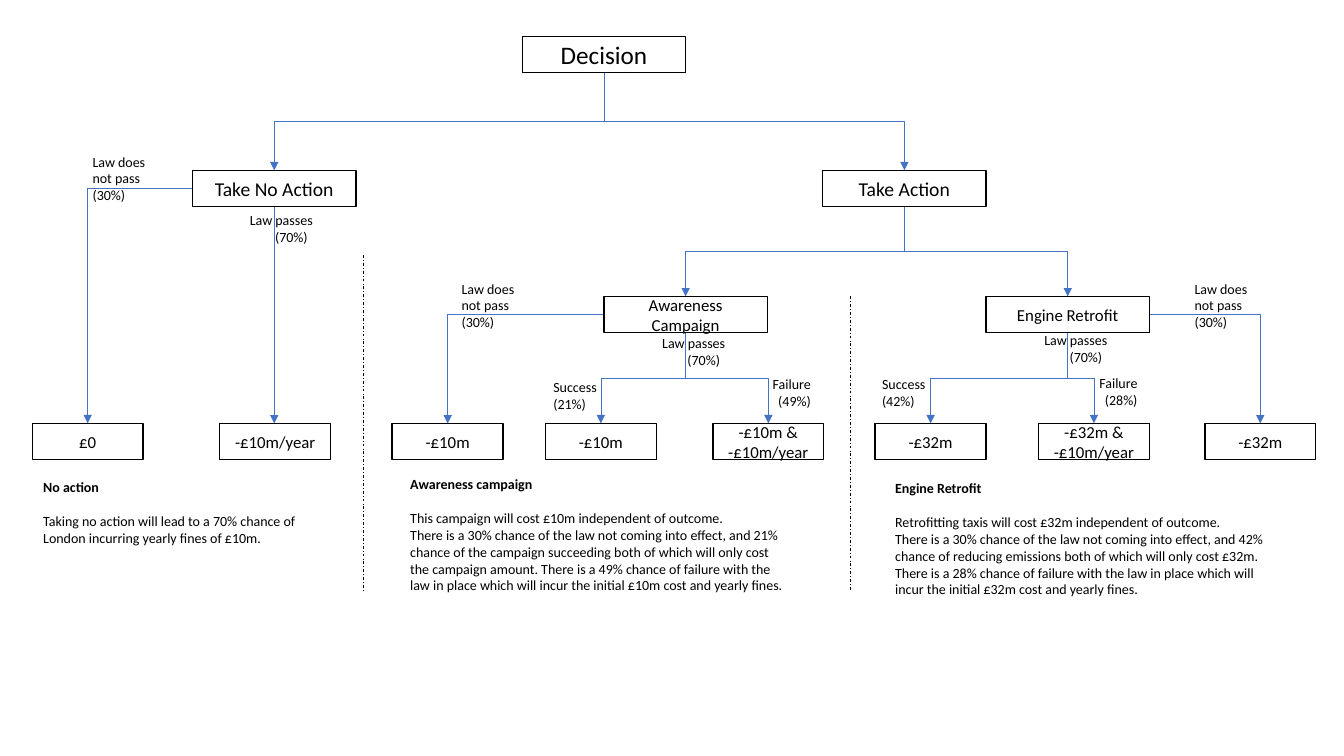
from pptx import Presentation
from pptx import util as u
from pptx.dml.color import RGBColor
from pptx.enum import dml, shapes, text
from pptx.oxml.ns import qn
from lxml import etree

COLORS = {"ink": "000000", "paper": "FFFFFF", "arrow": "4472C4"}
FONT = "Calibri"
BOX_HEIGHT = 0.36
CHOICE_WIDTH, OUTCOME_WIDTH = 1.62, 1.1
OUTCOME_TOP = 4.2

# Choices: key -> (label, centre x, top, text size)
CHOICES = {
    "decision": ("Decision", 5.99, 0.36, 18),
    "no action": ("Take No Action", 2.72, 1.69, 14),
    "action": ("Take Action", 8.97, 1.69, 14),
    "campaign": ("Awareness Campaign", 6.8, 2.94, 12),
    "retrofit": ("Engine Retrofit", 10.59, 2.94, 12),
}
# Outcomes along the bottom row: (lines, centre x)
OUTCOMES = [
    (["£0"], 0.87), (["-£10m/year"], 2.73), (["-£10m"], 4.44),
    (["-£10m"], 5.96), (["-£10m &", "-£10m/year"], 7.62), (["-£32m"], 9.23),
    (["-£32m &", "-£10m/year"], 10.85), (["-£32m"], 12.5),
]
# Forks leave the bottom of a choice: (from, to choice or outcome number)
FORKS = [
    ("decision", "no action"), ("decision", "action"),
    ("action", "campaign"), ("action", "retrofit"),
    ("campaign", 3), ("campaign", 4), ("retrofit", 5), ("retrofit", 6),
]
# Side branches leave the left (-1) or right (1) edge of a choice
SIDE_BRANCHES = [("no action", 0, -1), ("campaign", 2, -1), ("retrofit", 7, 1)]
DIVIDERS = [(3.6, 2.53, 5.86), (8.43, 2.94, 5.86)]  # x, top, bottom

# Branch labels: (lines, height, alignment, indent of last line, places)
NO_PASS = (["Law does not pass", "(30%)"], 0.61, "LEFT", 0,
           [(0.82, 1.47), (11.75, 2.73), (4.48, 2.73)])
PASSES = (["Law passes", "(70%)"], 0.44, "LEFT", 0.25,
          [(2.38, 2.05), (6.47, 3.27), (10.26, 3.24)])
RESULTS = [
    (["Success", "(21%)"], 0.44, "LEFT", 0, [(5.39, 3.71)]),
    (["Success", "(42%)"], 0.44, "LEFT", 0, [(8.65, 3.68)]),
    (["Failure", "(49%)"], 0.44, "RIGHT", 0, [(7.28, 3.68)]),
    (["Failure", "(28%)"], 0.44, "RIGHT", 0, [(10.52, 3.67)]),
]
LABELS = [NO_PASS, PASSES] + RESULTS
LABEL_WIDTH = 0.86

# Explanations: (heading, paragraphs, left, top, width, height)
NOTES = [
    ("No action",
     ["Taking no action will lead to a 70% chance of London incurring yearly fines of £10m."],
     0.33, 4.7, 2.92, 0.94),
    ("Awareness campaign",
     ["This campaign will cost £10m independent of outcome.",
      "There is a 30% chance of the law not coming into effect, and 21% chance of the "
      "campaign succeeding both of which will only cost the campaign amount. There is a 49% "
      "chance of failure with the law in place which will incur the initial £10m cost and "
      "yearly fines."],
     3.97, 4.67, 3.91, 1.28),
    ("Engine Retrofit",
     ["Retrofitting taxis will cost £32m independent of outcome.",
      "There is a 30% chance of the law not coming into effect, and 42% chance of reducing "
      "emissions both of which will only cost £32m. There is a 28% chance of failure with the "
      "law in place which will incur the initial £32m cost and yearly fines."],
     8.78, 4.71, 3.91, 1.28),
]

deck = Presentation()
deck.slide_width, deck.slide_height = u.Inches(13.33), u.Inches(7.5)
page = deck.slides.add_slide(deck.slide_layouts[6])


def color(name):
    return RGBColor.from_string(COLORS[name])


def write(frame, lines, size, align="LEFT", bold_first=False):
    frame.word_wrap = True
    for number, line in enumerate(lines):
        para = frame.paragraphs[0] if number == 0 else frame.add_paragraph()
        para.alignment = getattr(text.PP_ALIGN, align)
        span = para.add_run()
        span.text = line
        span.font.name, span.font.size = FONT, u.Pt(size)
        span.font.bold = bold_first and number == 0
        span.font.color.rgb = color("ink")


def add_box(lines, center, top, width, size):
    box = page.shapes.add_shape(
        shapes.MSO_SHAPE.RECTANGLE, u.Inches(center - width / 2), u.Inches(top),
        u.Inches(width), u.Inches(BOX_HEIGHT))
    box.shadow.inherit = False
    box.fill.solid()
    box.fill.fore_color.rgb = color("paper")
    box.line.color.rgb, box.line.width = color("ink"), u.Pt(1)
    box.text_frame.vertical_anchor = text.MSO_ANCHOR.MIDDLE
    write(box.text_frame, lines, size, "CENTER")


def add_text(lines, left, top, width, height, **style):
    box = page.shapes.add_textbox(*map(u.Inches, (left, top, width, height)))
    write(box.text_frame, lines, 10, **style)
    return box.text_frame.paragraphs


def add_line(kind, x1, y1, x2, y2, line_color="arrow", arrow=True):
    line = page.shapes.add_connector(kind, *map(u.Inches, (x1, y1, x2, y2)))
    line.line.color.rgb, line.line.width = color(line_color), u.Pt(0.5)
    properties = line._element.spPr
    etree.SubElement(properties, qn("a:effectLst"))
    if arrow:
        etree.SubElement(properties.find(qn("a:ln")), qn("a:tailEnd"), type="triangle")
    return line


def turn(line, degrees, flip=None):
    frame = line._element.spPr.find(qn("a:xfrm"))
    frame.set("rot", str(degrees * 60000))
    if flip:
        frame.set(flip, "1")


def add_fork(x1, y1, x2, y2):
    """Down, across, down: a horizontal elbow turned about its centre."""
    mid_x, mid_y = (x1 + x2) / 2, (y1 + y2) / 2
    half_run, half_rise = (y2 - y1) / 2, abs(x2 - x1) / 2
    line = add_line(shapes.MSO_CONNECTOR.ELBOW, mid_x - half_run, mid_y - half_rise,
                    mid_x + half_run, mid_y + half_rise)
    if x2 < x1:
        turn(line, 90)
    else:
        turn(line, 270, "flipH")


def add_side_branch(x1, y1, x2, y2):
    """Across, then down."""
    line = add_line(shapes.MSO_CONNECTOR.ELBOW, min(x1, x2), y1, max(x1, x2), y2)
    line._element.spPr.find(qn("a:prstGeom")).set("prst", "bentConnector2")
    if x2 < x1:
        turn(line, 180, "flipV")


# Arrows
for start, end in FORKS:
    _, x1, top, _ = CHOICES[start]
    x2, y2 = CHOICES[end][1:3] if end in CHOICES else (OUTCOMES[end][1], OUTCOME_TOP)
    add_fork(x1, top + BOX_HEIGHT, x2, y2)
for start, end, side in SIDE_BRANCHES:
    _, x, top, _ = CHOICES[start]
    add_side_branch(x + side * CHOICE_WIDTH / 2, top + BOX_HEIGHT / 2,
                    OUTCOMES[end][1], OUTCOME_TOP)
_, x, top, _ = CHOICES["no action"]
add_line(shapes.MSO_CONNECTOR.STRAIGHT, x, top + BOX_HEIGHT, x, OUTCOME_TOP)

# Choices and outcomes
for label, center, top, size in CHOICES.values():
    add_box([label], center, top, CHOICE_WIDTH, size)
for lines, center in OUTCOMES:
    add_box(lines, center, OUTCOME_TOP, OUTCOME_WIDTH, 12)

# Dividers
for x, top, bottom in DIVIDERS:
    divider = add_line(shapes.MSO_CONNECTOR.STRAIGHT, x, top, x, bottom, "ink", False)
    divider.line.dash_style = dml.MSO_LINE.DASH_DOT

# Branch labels
for lines, height, align, indent, places in LABELS:
    for left, top in places:
        paras = add_text(lines, left, top, LABEL_WIDTH, height, align=align)
        if indent:
            paras[-1]._p.get_or_add_pPr().set("marL", str(u.Inches(indent)))

# Explanations
for heading, body, left, top, width, height in NOTES:
    paras = add_text([heading] + body, left, top, width, height, bold_first=True)
    paras[0].space_after = u.Pt(12.2)

deck.save("out.pptx")
